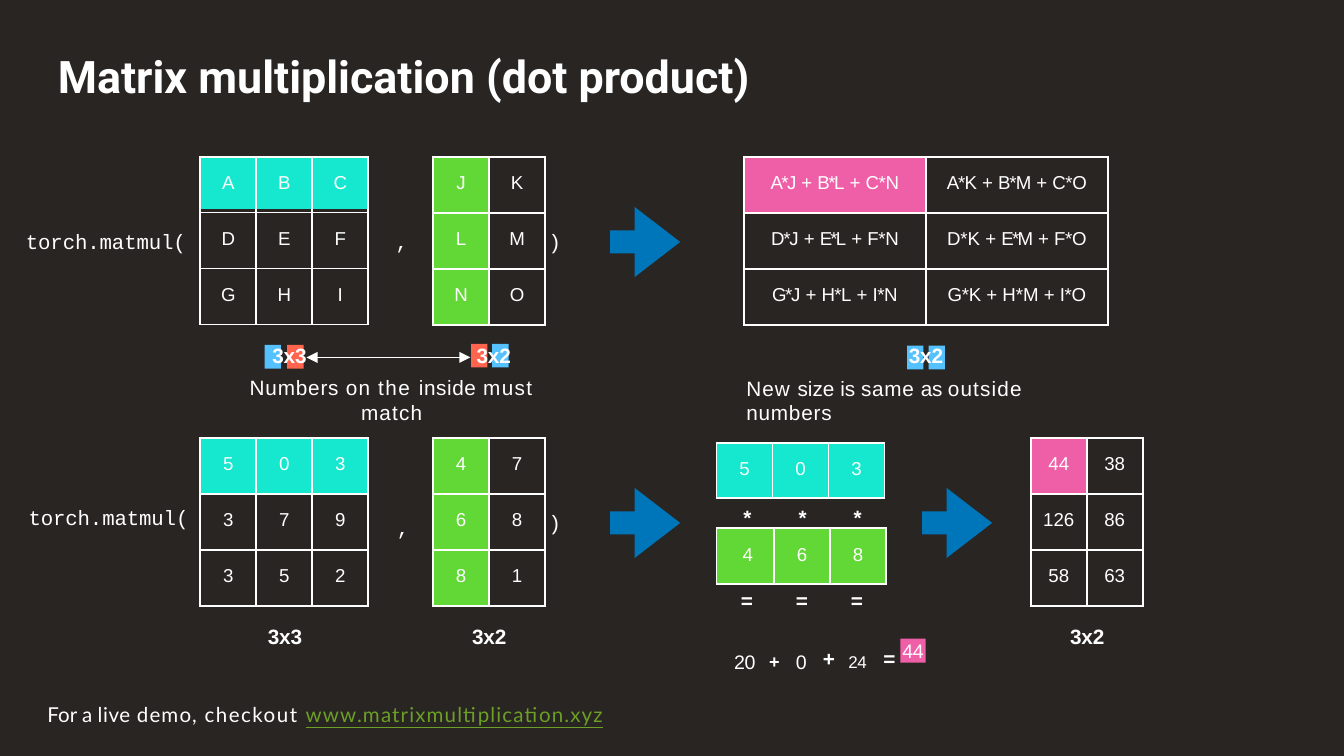
from dataclasses import dataclass

from lxml.etree import SubElement
from pptx import Presentation
from pptx.dml.color import RGBColor
from pptx.enum.shapes import MSO_CONNECTOR as CONN, MSO_SHAPE as SHAPE
from pptx.enum.text import PP_ALIGN as ALIGN
from pptx.oxml.ns import qn
from pptx.util import Pt


@dataclass(frozen=True)
class Theme:
    bg: str = "292523"
    white: str = "FFFFFF"
    cyan: str = "16E7CF"
    green: str = "61D836"
    pink: str = "EF5FA7"
    red: str = "FF644E"
    sky: str = "56C1FF"
    blue: str = "0076BA"
    link: str = "6B9F25"
    sans: str = "Arial"
    mono: str = "Courier New"
    title: float = 24
    label: float = 11.1
    sum: float = 10.5
    cell: float = 10
    note: float = 11


T = Theme()
TOP, BOTTOM = 84, 234.6
CELL, STRIP = 30, 2
SPLIT = [CELL - STRIP, STRIP, CELL, CELL]
LEFT_X, RIGHT_X = 107.3, 232
GREEN_COLUMN = {(r, 0): T.green for r in range(3)}
CYAN_ROW = {(0, c): T.cyan for c in range(3)}
CYAN_STRIP = {(1, c): T.cyan for c in range(3)}

PRODUCTS = [
    [[("A*J", -0.9), ("B*L", -0.8), ("C*N", -0.2)], [("A*K", -0.5), ("B*M", -0.5), ("C*O", -0.2)]],
    [[("D*J", -0.6), ("E*L", -1), ("F*N", -0.2)], [("D*K", 0), ("E*M", -0.9), ("F*O", -0.2)]],
    [[("G*J", -0.7), ("H*L", -0.3), ("I*N", -0.2)], [("G*K", -0.1), ("H*M", 0), ("I*O", -0.2)]],
]
TABLES = [
    dict(x=398.5, y=TOP, cols=[97.5] * 2, rows=[CELL] * 3, fills={(0, 0): T.pink}, data=PRODUCTS),
    dict(x=552.2, y=BOTTOM, cols=[CELL] * 2, rows=[CELL] * 3, fills={(0, 0): T.pink},
         data=[["44", "38"], ["126", "86"], ["58", "63"]]),
    dict(x=383.8, y=283, cols=[STRIP, CELL - STRIP, CELL, CELL], rows=[CELL], join="col",
         fills={(0, c): T.green for c in range(4)}, data=[["", "4", "6", "8"]]),
    dict(x=383.8, y=237.4, cols=[CELL] * 3, rows=[29.4], fills=CYAN_ROW, data=[["5", "0", "3"]]),
    dict(x=RIGHT_X, y=BOTTOM, cols=[CELL] * 2, rows=[CELL] * 3, fills=GREEN_COLUMN,
         data=[["4", "7"], ["6", "8"], ["8", "1"]]),
    dict(x=RIGHT_X, y=TOP, cols=[CELL] * 2, rows=[CELL] * 3, fills=GREEN_COLUMN,
         data=[["J", "K"], ["L", "M"], ["N", "O"]]),
    dict(x=LEFT_X, y=BOTTOM, cols=[CELL] * 3, rows=SPLIT, join="row", fills=CYAN_ROW | CYAN_STRIP,
         data=[["5", "0", "3"], [""] * 3, ["3", "7", "9"], ["3", "5", "2"]]),
    dict(x=LEFT_X, y=TOP, cols=[CELL] * 3, rows=SPLIT, join="row", fills=CYAN_ROW,
         data=[["A", "B", "C"], [""] * 3, ["D", "E", "F"], ["G", "H", "I"]]),
]
ARROWS = [(326.9, 110.9), (326.9, 261.4), (494, 261.4)]
HIGHLIGHTS = [
    (141.8, 184.8, T.sky), (153.9, 184.8, T.red),
    (252.4, 184.2, T.red), (263.7, 184.2, T.sky),
    (486, 185.2, T.sky), (497.5, 185.2, T.sky),
]
MONO = [
    ("torch.matmul(", 13, 121.7, 88.6), (",", 211, 121.7, 8), (")", 293, 121.7, 8),
    ("torch.matmul(", 14.4, 269.3, 88.6), (",", 211.7, 275, 8), (")", 293, 272.2, 8),
]
SIZES = [("3x2", 486, 182.9), ("3x3", 142.6, 333.4), ("3x2", 252, 333.4), ("3x2", 572.4, 333.4)]
SIGNS = [("*\t*\t*", 397.4, 269.3), ("=\t=\t=", 396, 313.9)]
SUMS = [
    (392.4, 341.3, [18.7, 33.1], [
        ("20\t", -0.1, dict(size=T.sum)),
        ("+\t", -0.3, dict(size=16.7, bold=True, base=5)),
        ("0", -0.2, dict(size=T.sum))]),
    (439.9, 340.6, [13.7, 32.4], [
        ("+\t", -0.2, dict(bold=True)),
        ("24\t", -0.2, dict(size=15.7, base=-5)),
        ("=", -0.2, dict(bold=True))]),
]
MATCH = [("Numbers ", 0.4), ("on ", 0.6), ("the ", 0.8), ("inside ", 0.3), ("must ", 0.7), ("match", 0.6)]
NEW_SIZE = [("New ", 0.5), ("size is ", 0), ("same ", 0.3), ("as ", -0.2), ("outside ", 0.6), ("numbers", 0.4)]
DEMO = [("For a ", 0), ("live ", 0.3), ("demo, ", 0.6), ("checkout ", 0.8)]
LINK = "www.matrixmultiplication.xyz"


def rgb(color):
    return RGBColor.from_string(color)


def add_run(p, text, spc=0, size=T.label, font=T.sans, color=T.white, bold=False, underline=False, base=0):
    r = p.add_run()
    r.text = text
    f = r.font
    f.size, f.name, f.bold = Pt(size), font, bold
    f.color.rgb = rgb(color)
    if underline:
        f.underline = True
    rpr = r._r.get_or_add_rPr()
    rpr.set("spc", str(round(spc * 100)))
    if base:
        rpr.set("baseline", str(base * 1000))


def set_tabs(p, tabs):
    lst = SubElement(p._p.get_or_add_pPr(), qn("a:tabLst"))
    for pos in tabs:
        SubElement(lst, qn("a:tab"), pos=str(Pt(pos)), algn="l")


def set_insets(tf, left, top):
    tf.margin_left = tf.margin_right = Pt(left)
    tf.margin_top, tf.margin_bottom = Pt(top), 0


def add_text(s, x, y, w, runs, h=14.4, tabs=(), top=0.9, indent=0.9, **style):
    tf = s.shapes.add_textbox(Pt(x), Pt(y), Pt(w), Pt(h)).text_frame
    tf.word_wrap = True
    set_insets(tf, 0, top)
    p = tf.paragraphs[0]
    p._p.get_or_add_pPr().set("marL", str(Pt(indent)))
    if tabs:
        set_tabs(p, tabs)
    for text, spc, *extra in runs:
        add_run(p, text, spc, **(style | (extra[0] if extra else {})))
    return tf


def add_block(s, kind, x, y, w, h, color):
    sp = s.shapes.add_shape(kind, Pt(x), Pt(y), Pt(w), Pt(h))
    sp.shadow.inherit = False
    sp.fill.solid()
    sp.fill.fore_color.rgb = rgb(color)
    sp.line.fill.background()
    return sp


def set_borders(cell, hidden):
    tcpr = cell._tc.get_or_add_tcPr()
    for side in "LRTB":
        ln = SubElement(tcpr, qn(f"a:ln{side}"), w=str(Pt(1)))
        if side in hidden:
            SubElement(ln, qn("a:noFill"))
        else:
            SubElement(SubElement(ln, qn("a:solidFill")), qn("a:srgbClr"), val=T.white)


def add_matrix(s, x, y, cols, rows, data, fills, join=None):
    shape = s.shapes.add_table(len(rows), len(cols), Pt(x), Pt(y), Pt(sum(cols)), Pt(sum(rows)))
    tbl = shape.table
    tbl.first_row = tbl.horz_banding = False
    for items, sizes, attr in ((tbl.columns, cols, "width"), (tbl.rows, rows, "height")):
        for item, size in zip(items, sizes):
            setattr(item, attr, Pt(size))
    hidden = {"row": {0: "B", 1: "T"}, "col": {0: "R", 1: "L"}}.get(join, {})
    for r, row in enumerate(data):
        for c, value in enumerate(row):
            cell = tbl.cell(r, c)
            set_insets(cell, 0, 8.6 if value else 0)
            set_borders(cell, hidden.get(r if join == "row" else c, ""))
            if (r, c) in fills:
                cell.fill.solid()
                cell.fill.fore_color.rgb = rgb(fills[r, c])
            else:
                cell.fill.background()
            p = cell.text_frame.paragraphs[0]
            p.alignment = ALIGN.CENTER
            if not value:
                SubElement(p._p, qn("a:endParaRPr"), sz="100")
            for i, (term, spc) in enumerate([(value, 0)] if isinstance(value, str) else value):
                if i:
                    add_run(p, " + ", size=T.cell)
                if term:
                    add_run(p, term, spc, size=T.cell)


def add_match_arrow(s, x1, x2, y):
    line = s.shapes.add_connector(CONN.STRAIGHT, Pt(x1), Pt(y), Pt(x2), Pt(y))
    line.line.color.rgb = rgb(T.white)
    line.line.width = Pt(0.82)
    ln = line.line._get_or_add_ln()
    for end in ("headEnd", "tailEnd"):
        SubElement(ln, qn(f"a:{end}"), type="triangle", w="med", len="med")
    SubElement(line._element.spPr, qn("a:effectLst"))


def main():
    """Build the matrix multiplication slide."""
    prs = Presentation()
    prs.slide_width, prs.slide_height = Pt(720), Pt(405)
    s = prs.slides.add_slide(prs.slide_layouts[6])
    s.background.fill.solid()
    s.background.fill.fore_color.rgb = rgb(T.bg)

    for x, y, color in HIGHLIGHTS:
        add_block(s, SHAPE.RECTANGLE, x, y, 8.8, 12.7, color)
    for table in TABLES:
        add_matrix(s, **table)
    for x, y in ARROWS:
        sp = add_block(s, SHAPE.RIGHT_ARROW, x, y, 37.5, 37.5, T.blue)
        sp.adjustments[0], sp.adjustments[1] = 0.33, 0.65

    for text, x, y, w in MONO:
        add_text(s, x, y, w, [(text, -0.1)], font=T.mono)
    for text, x, y in SIZES:
        add_text(s, x, y, 20.4, [(text, -0.1)], bold=True)
    for text, x, y in SIGNS:
        add_text(s, x, y, 67, [(text, -0.2)], tabs=[29.5, 59], bold=True)
    for x, y, tabs, runs in SUMS:
        add_text(s, x, y, 41, runs, tabs=tabs)
    total = add_block(s, SHAPE.RECTANGLE, 482.4, 342.2, 13.5, 12.8, T.pink).text_frame
    total.word_wrap = False
    set_insets(total, 0, 0)
    add_run(total.paragraphs[0], "44", -0.1, size=T.sum)

    tf = add_text(s, 117.4, 179.3, 184.8, [("3x3\t3x2", -0.1)], h=35.3, tabs=[109.4],
                  top=4.3, indent=0, bold=True)
    p = tf.add_paragraph()
    p.space_before = Pt(4)
    for text, spc in MATCH:
        add_run(p, text, spc)
    for p in tf.paragraphs:
        p.alignment = ALIGN.CENTER
    add_match_arrow(s, 164.2, 252, 191.5)
    add_text(s, 398.9, 200.2, 193, NEW_SIZE)
    link = (LINK, 0.6, dict(color=T.link, underline=True))
    add_text(s, 24.5, 375.1, 345.6, DEMO + [link], size=T.note, font="Lato")
    add_text(s, 31, 22.3, 383, [("Matrix multiplication (dot product)", 0)], h=36, top=3.6,
             indent=0, size=T.title, font="Roboto", bold=True)
    prs.save("out.pptx")


if __name__ == "__main__":
    main()
